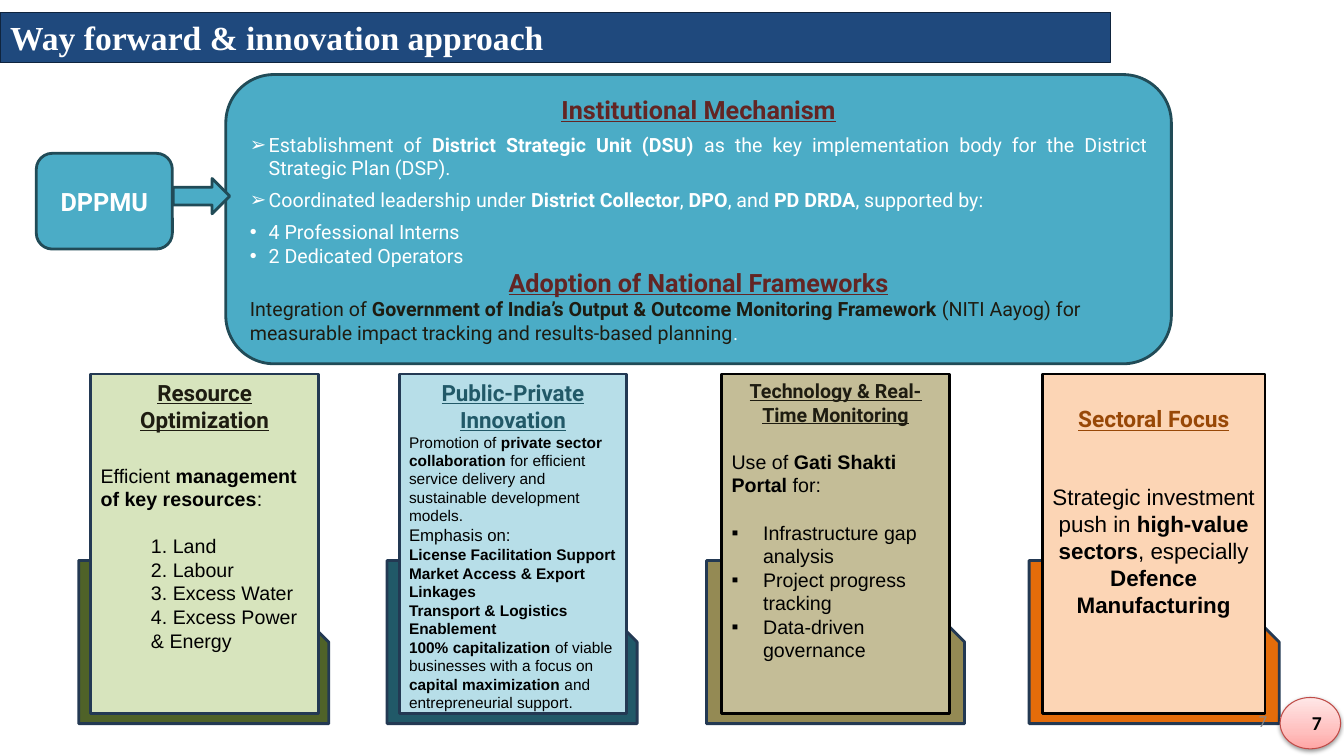
from lxml.etree import SubElement
from pptx import Presentation
from pptx.dml.color import RGBColor as RGB
from pptx.enum.shapes import MSO_SHAPE as SHAPE
from pptx.enum.text import MSO_ANCHOR as ANCHOR, MSO_AUTO_SIZE as AUTO, PP_ALIGN as ALIGN
from pptx.oxml.ns import qn
from pptx.util import Pt

COLORS = {
    "navy": "1F497D", "navy_line": "0F243E", "white": "FFFFFF", "black": "000000",
    "teal": "4BACC6", "teal_line": "214B57", "maroon": "632523", "ink": "1E1C11",
    "tab_line": "233953", "green": "D7E4BD", "green_dark": "4F6228",
    "blue": "B7DEE8", "blue_dark": "215968", "tan": "C4BD97", "tan_dark": "948A54",
    "peach": "FCD5B5", "orange": "E46C0A", "brown": "984807",
    "red_line": "BF4C48", "grey": "888888",
}
BADGE_STOPS = [(0, "FFA6A5"), (35, "FFC0BF"), (100, "FFE7E7")]


def rgb(name):
    return RGB.from_string(COLORS[name])


def add_shape(slide, kind, box, fill, line, width=2):
    sp = slide.shapes.add_shape(kind, *map(Pt, box))
    sp.shadow.inherit = False
    if fill:
        sp.fill.solid()
        sp.fill.fore_color.rgb = rgb(fill)
    sp.line.color.rgb = rgb(line)
    sp.line.width = Pt(width)
    return sp


def add_bullet(p, char, hang):
    pPr = p._p.get_or_add_pPr()
    pPr.set("marL", str(Pt(hang)))
    pPr.set("indent", str(-Pt(hang)))
    SubElement(pPr, qn("a:buFont"), typeface="Arial")
    SubElement(pPr, qn("a:buChar"), char=char)


def write(sp, paras, anchor=ANCHOR.TOP, **base):
    """Fill a shape with paragraphs; **double stars** mark bold runs."""
    tf = sp.text_frame
    tf.word_wrap = True
    tf.auto_size = AUTO.NONE
    tf.vertical_anchor = anchor
    for i, para in enumerate(paras):
        f = {"font": "Arial", "size": 14, "color": "black", "align": ALIGN.LEFT,
             "before": 0, **base, **para}
        p = tf.add_paragraph() if i else tf.paragraphs[0]
        p.alignment = f["align"]
        p.space_before = Pt(f["before"])
        if "bullet" in f:
            add_bullet(p, f["bullet"], f["hang"])
        elif "indent" in f:
            p._p.get_or_add_pPr().set("marL", str(Pt(f["indent"])))
        for j, text in enumerate(f["text"].split("**")):
            if not text:
                continue
            r = p.add_run()
            r.text = text
            style = {"name": f["font"], "size": Pt(f["size"]),
                     "bold": j % 2 == 1, "underline": f.get("underline", False)}
            for key, value in style.items():
                setattr(r.font, key, value)
            r.font.color.rgb = rgb(f["color"])
            if "baseline" in f:
                r._r.get_or_add_rPr().set("baseline", str(f["baseline"]))


def heading(text, size, color, **extra):
    return {"text": f"**{text}**", "size": size, "color": color, "font": "Roboto",
            "underline": True, "align": ALIGN.CENTER, **extra}


def title_bar(slide, box):
    sp = slide.shapes.title
    sp.left, sp.top, sp.width, sp.height = map(Pt, box)
    sp.fill.solid()
    sp.fill.fore_color.rgb = rgb("navy")
    sp.line.color.rgb = rgb("navy_line")
    sp.line.width = Pt(0.75)
    write(sp, [{"text": "**Way forward & innovation approach**"}], ANCHOR.MIDDLE,
          font="Times New Roman", size=24, color="white")


def card(slide, box, tab_dx, tab_w, fill, tab_fill, line, paras):
    x, y, w, h = box
    # Snipped tab behind the card
    tab = add_shape(slide, SHAPE.SNIP_1_RECTANGLE,
                    (x - tab_dx, y + 133.2, tab_w, 116.6), tab_fill, "tab_line")
    tab.adjustments[0] = 0.5
    write(add_shape(slide, SHAPE.RECTANGLE, box, fill, line), paras)


def mechanism(slide, box):
    x, y, w, h = box
    panel = add_shape(slide, SHAPE.ROUNDED_RECTANGLE, box, "teal", "teal_line")
    arrow_item = {"bullet": "➢", "hang": 13.5, "before": 6, "align": ALIGN.JUSTIFY}
    dot_item = {"bullet": "•", "hang": 13.5}
    write(panel, [
        heading("Institutional Mechanism", 18, "maroon"),
        {"text": "Establishment of **District Strategic Unit (DSU)** as the key "
                 "implementation body for the District Strategic Plan (DSP).", **arrow_item},
        {"text": "Coordinated leadership under **District Collector**, **DPO**, and "
                 "**PD DRDA**, supported by:", **arrow_item},
        {"text": "4 Professional Interns", "before": 6, **dot_item},
        {"text": "2 Dedicated Operators", **dot_item},
        heading("Adoption of National Frameworks", 18, "maroon"),
        {"text": "Integration of **Government of India’s Output & Outcome Monitoring "
                 "Framework** (NITI Aayog) for measurable impact tracking and "
                 "results-based planning", "color": "ink"},
    ], ANCHOR.MIDDLE, font="Roboto", color="white")
    # White full stop that closes the last paragraph
    r = panel.text_frame.paragraphs[-1].add_run()
    r.text = "."
    for key, value in {"name": "Roboto", "size": Pt(14)}.items():
        setattr(r.font, key, value)
    r.font.color.rgb = rgb("white")
    # Unit box and the arrow leading into the panel
    unit = add_shape(slide, SHAPE.ROUNDED_RECTANGLE, (x - 135.4, y + 56.2, 97.2, 68.4),
                     "teal", "teal_line")
    write(unit, [{"text": "**DPPMU**"}], ANCHOR.MIDDLE,
          font="Roboto", size=18, color="white", align=ALIGN.CENTER)
    add_shape(slide, SHAPE.RIGHT_ARROW, (x - 37.5, y + 74.2, 40.3, 25.2), "teal", "teal_line")


def page_number(slide, box):
    x, y, w, h = box
    badge = add_shape(slide, SHAPE.OVAL, box, None, "red_line", 0.75)
    badge.fill.gradient()
    badge.fill.gradient_angle = 90
    stops = badge._element.spPr.find(".//" + qn("a:gsLst"))
    for stop in list(stops):
        stops.remove(stop)
    for pos, color in BADGE_STOPS:
        stop = SubElement(stops, qn("a:gs"), pos=str(pos * 1000))
        SubElement(stop, qn("a:srgbClr"), val=color)
    # Soft shadow below the badge
    effects = badge._element.spPr.find(qn("a:effectLst"))
    shadow = SubElement(effects, qn("a:outerShdw"), blurRad=str(Pt(3.1)),
                        dist=str(Pt(1.6)), dir="5400000", rotWithShape="0")
    tint = SubElement(shadow, qn("a:srgbClr"), val=COLORS["black"])
    SubElement(tint, qn("a:alpha"), val="38000")
    write(badge, [{"text": "**7**"}], ANCHOR.MIDDLE, font="Calibri", align=ALIGN.RIGHT)
    # Small footer number
    footer = slide.shapes.add_textbox(*map(Pt, (x - 226.1, y + 2.2, 223.9, 28.8)))
    write(footer, [{"text": "7"}], ANCHOR.MIDDLE,
          font="Calibri", size=12, color="grey", align=ALIGN.RIGHT)


RESOURCES = [
    heading("Resource Optimization", 16, "ink"),
    {"text": "Efficient **management of key resources**:", "before": 22},
] + [{"text": text, "indent": 36, "before": 0 if i else 17} for i, text in enumerate(
    ["1. Land", "2. Labour", "3. Excess Water", "4. Excess Power & Energy"])]

INNOVATION = [heading("Public-Private Innovation", 16, "blue_dark")] + [
    {"text": text, "size": size} for text, size in [
        ("Promotion of **private sector collaboration** for efficient service delivery "
         "and sustainable development models.", 11),
        ("Emphasis on:", 12),
        ("**License Facilitation Support**", 11),
        ("**Market Access & Export Linkages**", 11),
        ("**Transport & Logistics Enablement**", 11),
        ("**100% capitalization** of viable businesses with a focus on "
         "**capital maximization** and entrepreneurial support.", 11)]]

TECHNOLOGY = [
    heading("Technology & Real-Time Monitoring", 14, "ink"),
    {"text": "Use of **Gati Shakti Portal** for:", "before": 17},
] + [{"text": text, "bullet": "▪", "hang": 22.5, "before": 0 if i else 17}
     for i, text in enumerate(["Infrastructure gap analysis", "Project progress tracking",
                               "Data-driven governance"])]

SECTORS = [
    heading("Sectoral Focus", 28, "brown", baseline=-25000),
    {"text": "Strategic investment push in **high-value sectors**, especially "
             "**Defence Manufacturing**", "size": 16, "align": ALIGN.CENTER, "before": 36.5},
]

# Left, width, tab offset, tab width, fill, tab fill, line, text
CARDS = [
    (64.8, 162.7, 8.6, 178.6, "green", "green_dark", "tab_line", RESOURCES),
    (285.1, 162.7, 8.6, 178.6, "blue", "blue_dark", "tab_line", INNOVATION),
    (515.5, 162.7, 10.8, 184.3, "tan", "tan_dark", "black", TECHNOLOGY),
    (744.5, 159.1, 9.4, 178.6, "peach", "orange", "black", SECTORS),
]


def main():
    prs = Presentation()
    prs.slide_width, prs.slide_height = Pt(960), Pt(540)
    slide = prs.slides.add_slide(prs.slide_layouts[5])
    title_bar(slide, (0, 8.6, 793.4, 36))
    for left, width, *look in CARDS:
        card(slide, (left, 267.1, width, 242.6), *look)
    mechanism(slide, (161.3, 53.3, 675.4, 206.6))
    page_number(slide, (914.4, 498.2, 43.2, 36.7))
    prs.save("out.pptx")


if __name__ == "__main__":
    main()
